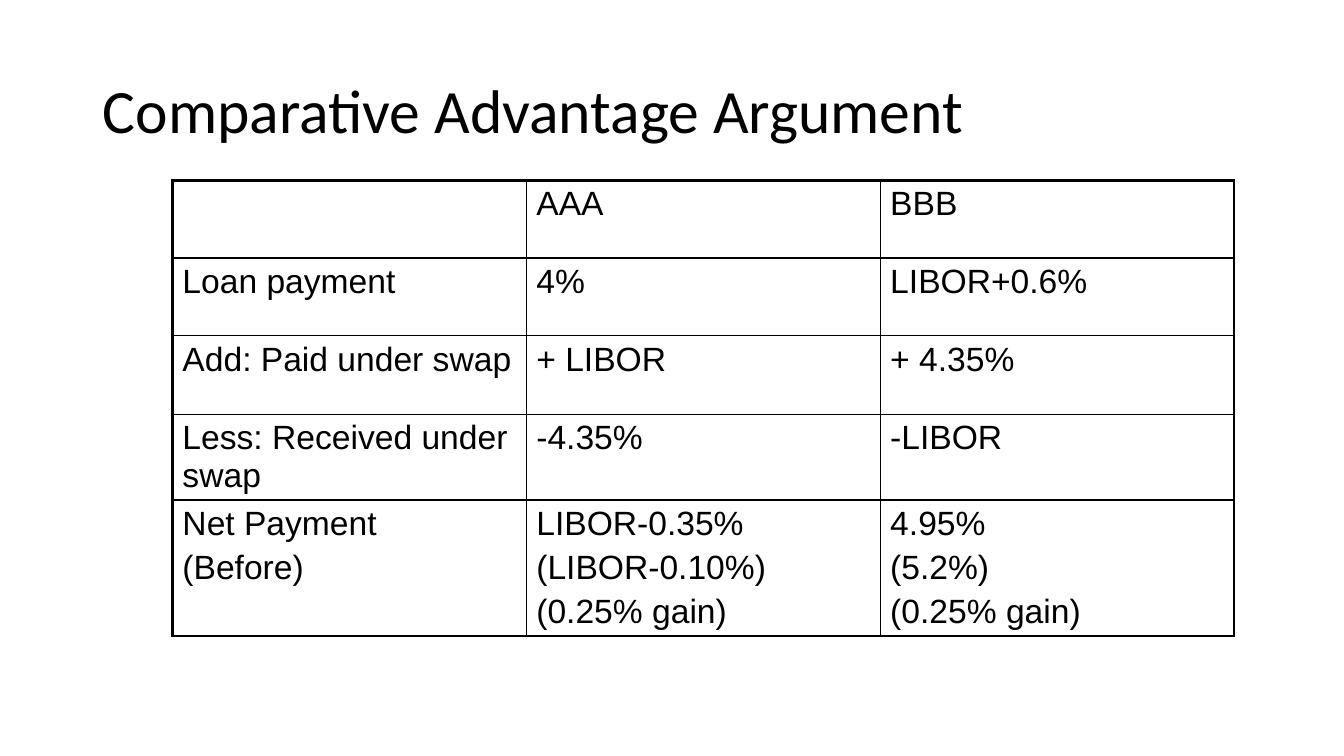
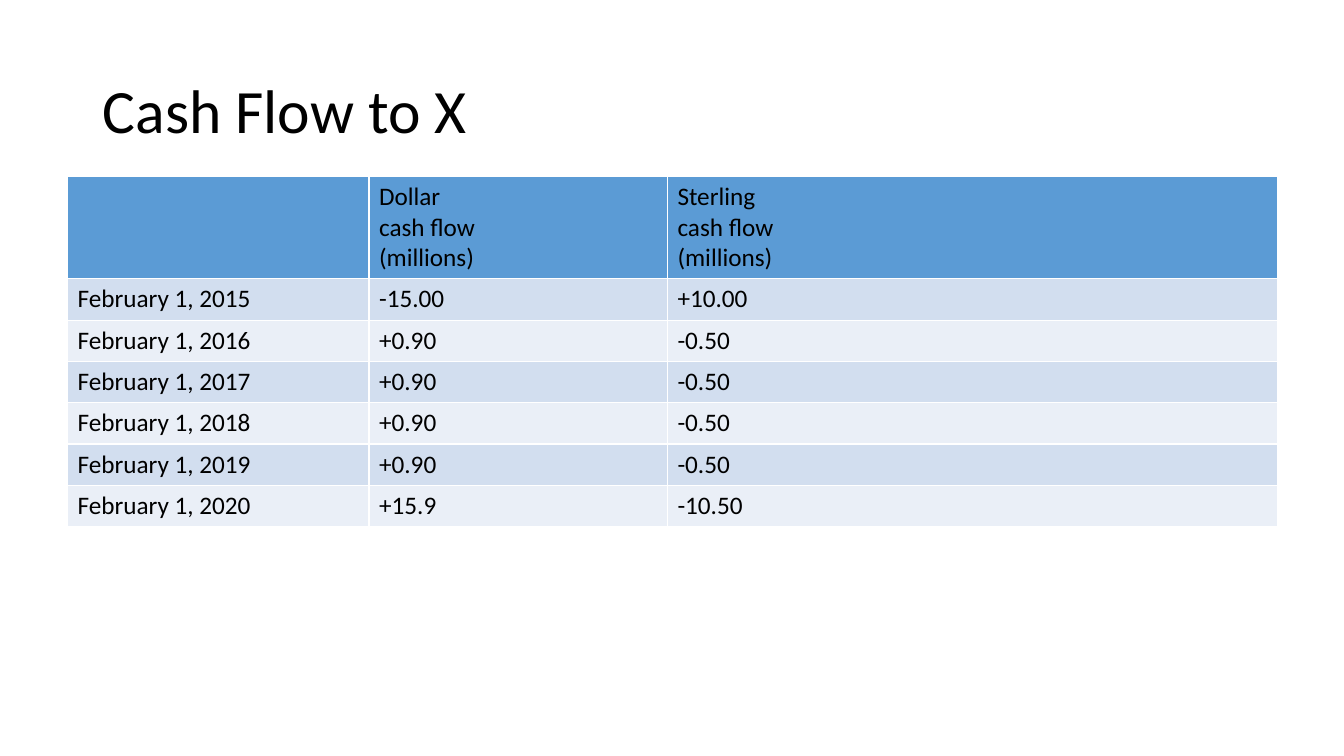
"""Build two slides on swap payments and cash flows, each a title above a table."""
from dataclasses import dataclass

from lxml import etree
from pptx import Presentation
from pptx.dml.color import RGBColor
from pptx.enum.text import MSO_ANCHOR, PP_ALIGN
from pptx.oxml.ns import qn
from pptx.util import Inches, Pt

LEFT = PP_ALIGN.LEFT
TOP = MSO_ANCHOR.TOP
MIDDLE = MSO_ANCHOR.MIDDLE
TITLE_ONLY = 5


@dataclass(frozen=True)
class Theme:
    ink: str = "000000"
    white: str = "FFFFFF"
    header: str = "5B9BD5"
    bands: tuple = ("D2DEEF", "EAEFF7")
    title_font: str = "Calibri"
    title_size: int = 44
    thin: float = 1
    thick: float = 2.25


THEME = Theme()
TITLE_BOX = (0.92, 0.4, 11.5, 1.45)

PAYMENTS = [
    ("", "AAA", "BBB"),
    ("Loan payment", "4%", "LIBOR+0.6%"),
    ("Add: Paid under swap", "+ LIBOR", "+ 4.35%"),
    ("Less: Received under swap", "-4.35%", "-LIBOR"),
    ("Net Payment\n(Before)",
     "LIBOR-0.35%\n(LIBOR-0.10%)\n(0.25% gain)",
     "4.95%\n(5.2%)\n(0.25% gain)"),
]
CASH_FLOWS = [
    ("", "Dollar\ncash flow\n(millions)", "Sterling\ncash flow\n(millions)"),
    ("February 1, 2015", "-15.00", "+10.00"),
    ("February 1, 2016", "+0.90", "-0.50"),
    ("February 1, 2017", "+0.90", "-0.50"),
    ("February 1, 2018", "+0.90", "-0.50"),
    ("February 1, 2019", "+0.90", "-0.50"),
    ("February 1, 2020", "+15.9", "-10.50"),
]

SLIDES = [
    {"title": "Comparative Advantage Argument", "rows": PAYMENTS,
     "at": (1.71, 1.79), "cols": [3.51] * 3,
     "heights": [0.77, 0.77, 0.78, 0.85, 1.35],
     "font": "Arial", "size": 24, "gap": 4.8,
     "header": None, "bands": (None,),
     "line": THEME.ink, "outer": THEME.thick},
    {"title": "Cash Flow to X", "rows": CASH_FLOWS,
     "at": (0.67, 1.75), "cols": [2.99, 2.96, 6.05],
     "heights": [1.01] + [0.41] * 6,
     "font": "Calibri", "size": 18, "gap": 0,
     "header": THEME.header, "bands": THEME.bands,
     "line": THEME.white, "outer": THEME.thin},
]


def set_font(font, name, size):
    values = {"name": name, "size": Pt(size), "bold": False}
    for key, value in values.items():
        setattr(font, key, value)
    font.color.rgb = RGBColor.from_string(THEME.ink)


def set_borders(cell, color, widths):
    tc_pr = cell._tc.get_or_add_tcPr()
    for i, (side, width) in enumerate(widths.items()):
        ln = etree.Element(qn(f"a:ln{side}"), w=str(Pt(width)))
        fill = etree.SubElement(ln, qn("a:solidFill"))
        etree.SubElement(fill, qn("a:srgbClr"), val=color)
        tc_pr.insert(i, ln)


def fill_cell(cell, text, color, look):
    cell.vertical_anchor = TOP
    if color:
        cell.fill.solid()
        cell.fill.fore_color.rgb = RGBColor.from_string(color)
    else:
        cell.fill.background()
    tf = cell.text_frame
    tf.text = text
    for i, p in enumerate(tf.paragraphs):
        p.alignment = LEFT
        p.space_before = Pt(look["gap"] if i else 0)
        set_font(p.font, look["font"], look["size"])
        for r in p.runs:
            set_font(r.font, look["font"], look["size"])


def add_grid(slide, look):
    rows, cols, heights = look["rows"], look["cols"], look["heights"]
    box = (*look["at"], sum(cols), sum(heights))
    table = slide.shapes.add_table(len(rows), len(cols), *map(Inches, box)).table
    table.first_row = table.horz_banding = False
    for column, width in zip(table.columns, cols):
        column.width = Inches(width)
    for row, height in zip(table.rows, heights):
        row.height = Inches(height)

    last_row, last_col = len(rows) - 1, len(cols) - 1
    bands = look["bands"]
    for i, texts in enumerate(rows):
        color = bands[(i - 1) % len(bands)] if i else look["header"]
        for j, text in enumerate(texts):
            cell = table.cell(i, j)
            fill_cell(cell, text, color, look)
            edges = {"L": j == 0, "R": j == last_col,
                     "T": i == 0, "B": i == last_row}
            widths = {side: look["outer"] if edge else THEME.thin
                      for side, edge in edges.items()}
            set_borders(cell, look["line"], widths)


def place_title(layout):
    sp = layout.placeholders[0]
    for key, value in zip(("left", "top", "width", "height"), TITLE_BOX):
        setattr(sp, key, Inches(value))


def add_title(slide, text):
    tf = slide.shapes.title.text_frame
    tf.text = text
    tf.vertical_anchor = MIDDLE
    p = tf.paragraphs[0]
    p.alignment = LEFT
    p.line_spacing = 0.9
    set_font(p.runs[0].font, THEME.title_font, THEME.title_size)


def main():
    prs = Presentation()
    prs.slide_width, prs.slide_height = Inches(13.33), Inches(7.5)
    layout = prs.slide_layouts[TITLE_ONLY]
    place_title(layout)
    for look in SLIDES:
        slide = prs.slides.add_slide(layout)
        add_title(slide, look["title"])
        add_grid(slide, look)
    prs.save("out.pptx")


if __name__ == "__main__":
    main()
